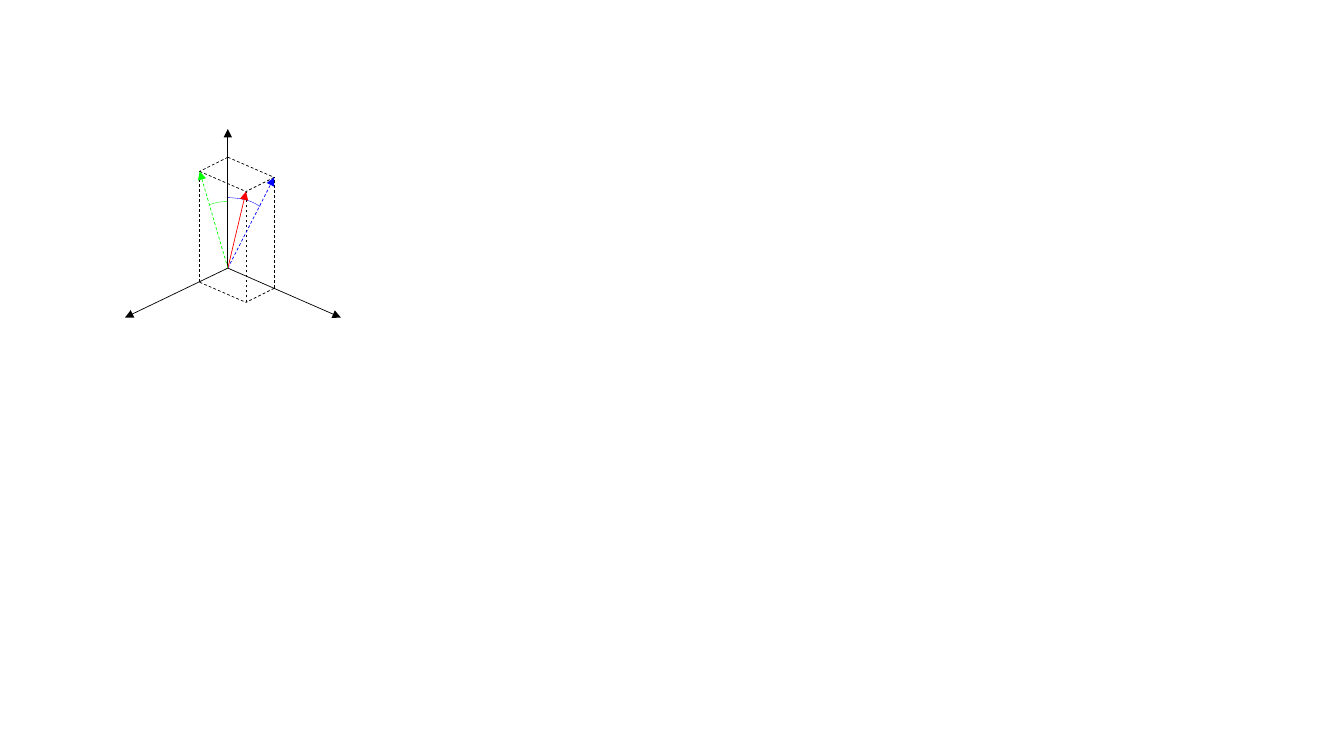
from dataclasses import dataclass

from lxml import etree
from pptx import Presentation
from pptx.dml.color import RGBColor
from pptx.enum.dml import MSO_LINE
from pptx.enum.shapes import MSO_CONNECTOR
from pptx.oxml.ns import qn
from pptx.shapes.group import GroupShape
from pptx.util import Emu, Pt

STRAIGHT = MSO_CONNECTOR.STRAIGHT
DASH = MSO_LINE.DASH
PX = 9144  # EMU per px, 100 px to the inch
BLACK, RED, GREEN, BLUE = "000000", "FF0000", "00FF00", "0000FF"

Point = tuple[int, int]
ORIGIN: Point = (226, 266)
LEFT_SIDE: Point = (-28, 14)
RIGHT_SIDE: Point = (46, 20)
UP_SIDE: Point = (0, -110)


@dataclass(frozen=True)
class Segment:
    start: Point
    end: Point
    color: str = BLACK
    dashed: bool = False
    arrow: bool = False


@dataclass(frozen=True)
class Arc:
    start: Point
    controls: tuple[Point, Point]
    end: Point
    color: str


def corner(left: int, right: int, up: int) -> Point:
    """Box corner reached from the origin along the chosen sides (0 or 1 each)."""
    x, y = (o + left * a + right * b + up * c
            for o, a, b, c in zip(ORIGIN, LEFT_SIDE, RIGHT_SIDE, UP_SIDE))
    return x, y


def rgb(color: str) -> RGBColor:
    return RGBColor.from_string(color)


def draw_segment(group: GroupShape, segment: Segment) -> None:
    ends = [Emu(v * PX) for v in segment.start + segment.end]
    s = group.shapes.add_connector(STRAIGHT, *ends)
    s.line.color.rgb = rgb(segment.color)
    s.line.width = Pt(0.5)
    if segment.dashed:
        s.line.dash_style = DASH
    if segment.arrow:
        etree.SubElement(s.line._get_or_add_ln(), qn("a:tailEnd"), type="triangle")
    etree.SubElement(s._element.spPr, qn("a:effectLst"))


def draw_arc(group: GroupShape, arc: Arc) -> None:
    """Draw a cubic curve by merging three line segments into one Bézier."""
    builder = group.shapes.build_freeform(*arc.start, scale=PX)
    builder.add_line_segments([*arc.controls, arc.end], close=False)
    s = builder.convert_to_shape()
    s.shadow.inherit = False
    s.fill.background()
    s.line.color.rgb = rgb(arc.color)
    s.line.width = Pt(0.25)
    path = s._element.find(".//" + qn("a:path"))
    curve = etree.SubElement(path, qn("a:cubicBezTo"))
    for line_to in path.findall(qn("a:lnTo")):
        curve.append(line_to[0])
        path.remove(line_to)


LEFT_TOP, RIGHT_TOP, FRONT_TOP = corner(1, 0, 1), corner(0, 1, 1), corner(1, 1, 1)
BACK_TOP, FRONT = corner(0, 0, 1), corner(1, 1, 0)

ARCS = [
    Arc((258, 205), ((252, 201), (246, 197)), (226, 196), BLUE),
    Arc((208, 203), ((212, 202), (215, 200)), (226, 200), GREEN),
]
AXES = [Segment(ORIGIN, tip, arrow=True)
        for tip in ((124, 315), (338, 315), (226, 128))]
BOX_EDGES = [Segment(start, end, dashed=True) for start, end in (
    (BACK_TOP, RIGHT_TOP),
    (BACK_TOP, LEFT_TOP),
    (LEFT_TOP, FRONT_TOP),
    (RIGHT_TOP, FRONT_TOP),
    (FRONT, FRONT_TOP),
    (corner(0, 1, 0), FRONT),
    (corner(1, 0, 0), FRONT),
    (corner(0, 1, 0), RIGHT_TOP),
    (corner(1, 0, 0), LEFT_TOP),
)]
VECTORS = [
    Segment(ORIGIN, RIGHT_TOP, BLUE, dashed=True, arrow=True),
    Segment(ORIGIN, LEFT_TOP, GREEN, dashed=True, arrow=True),
    Segment(ORIGIN, FRONT_TOP, RED, arrow=True),
]


def main() -> None:
    prs = Presentation()
    prs.slide_width, prs.slide_height = Emu(1333 * PX), Emu(750 * PX)
    slide = prs.slides.add_slide(prs.slide_layouts[6])
    diagram = slide.shapes.add_group_shape()
    for arc in ARCS:
        draw_arc(diagram, arc)
    for segment in AXES + BOX_EDGES + VECTORS:
        draw_segment(diagram, segment)
    prs.save("out.pptx")


if __name__ == "__main__":
    main()
